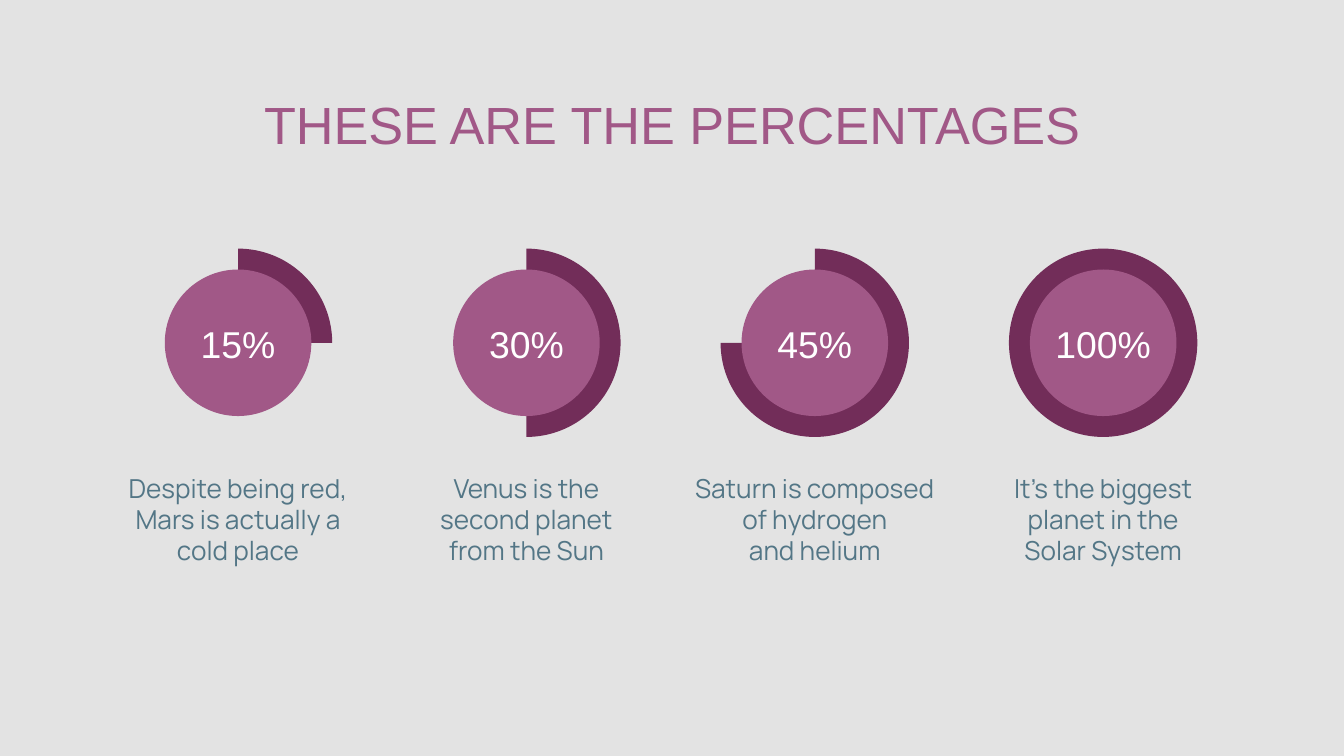
from dataclasses import dataclass

from pptx import Presentation
from pptx.dml.color import RGBColor
from pptx.enum.shapes import MSO_SHAPE
from pptx.enum.text import MSO_ANCHOR, MSO_AUTO_SIZE, PP_ALIGN
from pptx.shapes.autoshape import Shape
from pptx.shapes.shapetree import GroupShapes
from pptx.slide import Slide
from pptx.util import Cm, Pt

BACKGROUND, DARK, LIGHT = "E3E3E3", "722D59", "A15887"
CAPTION_COLOR, WHITE = "537686", "FFFFFF"

FIRST_CENTER, PITCH = 4.5, 5.45
RING_CENTER_Y = 6.48
RING_SIZE, DISC_SIZE = 3.56, 2.77
DEGREE = 0.6  # one degree in pie adjustment units
RING_START = 270


@dataclass
class Percentage:
    label: str
    ring_end: float  # degrees, clockwise from three o'clock
    caption: str


PERCENTAGES = [
    Percentage("15%", 0, "Despite being red, Mars is actually a cold place"),
    Percentage("30%", 90, "Venus is the\vsecond planet\vfrom the Sun"),
    Percentage("45%", 180, "Saturn is composed of hydrogen\vand helium"),
    Percentage("100%", 269.9, "It’s the biggest planet in the\vSolar System"),
]

TITLE_FONT = {"name": "Arial", "size": Pt(28), "color": LIGHT}
LABEL_FONT = {"name": "Arial", "size": Pt(20), "color": WHITE}
CAPTION_FONT = {"name": "Manrope", "size": Pt(14), "color": CAPTION_COLOR}


def color(value: str) -> RGBColor:
    return RGBColor.from_string(value)


def place(shape: Shape, left: float, top: float, width: float, height: float) -> None:
    """Move and size a shape, in centimetres."""
    lengths = {"left": left, "top": top, "width": width, "height": height}
    for name, length in lengths.items():
        setattr(shape, name, Cm(length))


def write(box: Shape, text: str, font: dict, anchor: MSO_ANCHOR) -> None:
    """Fill a box with one centred, formatted paragraph."""
    frame = box.text_frame
    frame.text = text
    settings = {"word_wrap": True, "auto_size": MSO_AUTO_SIZE.NONE, "vertical_anchor": anchor}
    for side in ("left", "top", "right", "bottom"):
        settings[f"margin_{side}"] = Cm(0.25)
    for name, value in settings.items():
        setattr(frame, name, value)
    para = frame.paragraphs[0]
    para.alignment = PP_ALIGN.CENTER
    for span in para.runs:
        for name, value in font.items():
            if name == "color":
                span.font.color.rgb = color(value)
            else:
                setattr(span.font, name, value)


def add_round(shapes: GroupShapes, kind: MSO_SHAPE, center: float, size: float, fill: str) -> Shape:
    shape = shapes.add_shape(kind, 0, 0, 0, 0)
    place(shape, center - size / 2, RING_CENTER_Y - size / 2, size, size)
    shape.shadow.inherit = False
    shape.fill.solid()
    shape.fill.fore_color.rgb = color(fill)
    shape.line.fill.background()
    return shape


def add_text(page: Slide, text: str, center: float, top: float, width: float,
             height: float, font: dict, anchor: MSO_ANCHOR) -> Shape:
    box = page.shapes.add_textbox(0, 0, 0, 0)
    place(box, center - width / 2, top, width, height)
    write(box, text, font, anchor)
    return box


def add_percentage(page: Slide, item: Percentage, center: float) -> None:
    """Draw a partial ring around a labelled disc, with its caption below."""
    group = page.shapes.add_group_shape()
    ring = add_round(group.shapes, MSO_SHAPE.PIE, center, RING_SIZE, DARK)
    ring.adjustments[0] = RING_START * DEGREE
    ring.adjustments[1] = item.ring_end * DEGREE
    add_round(group.shapes, MSO_SHAPE.OVAL, center, DISC_SIZE, LIGHT)
    add_text(page, item.label, center, 5.99, 2.41, 0.99, LABEL_FONT, MSO_ANCHOR.MIDDLE)
    caption = add_text(page, item.caption, center, 8.69, 5.13, 2.26, CAPTION_FONT, MSO_ANCHOR.TOP)
    caption.text_frame.paragraphs[0].line_spacing = Pt(16.6)


def main() -> None:
    deck = Presentation()
    deck.slide_width, deck.slide_height = Cm(25.4), Cm(14.29)
    page = deck.slides.add_slide(deck.slide_layouts[5])
    page.background.fill.solid()
    page.background.fill.fore_color.rgb = color(BACKGROUND)

    title = page.shapes.title
    place(title, 1.98, 1.5, 21.44, 1.6)
    write(title, "THESE ARE THE PERCENTAGES", TITLE_FONT, MSO_ANCHOR.TOP)

    for index, item in enumerate(PERCENTAGES):
        add_percentage(page, item, FIRST_CENTER + index * PITCH)
    deck.save("out.pptx")


if __name__ == "__main__":
    main()
